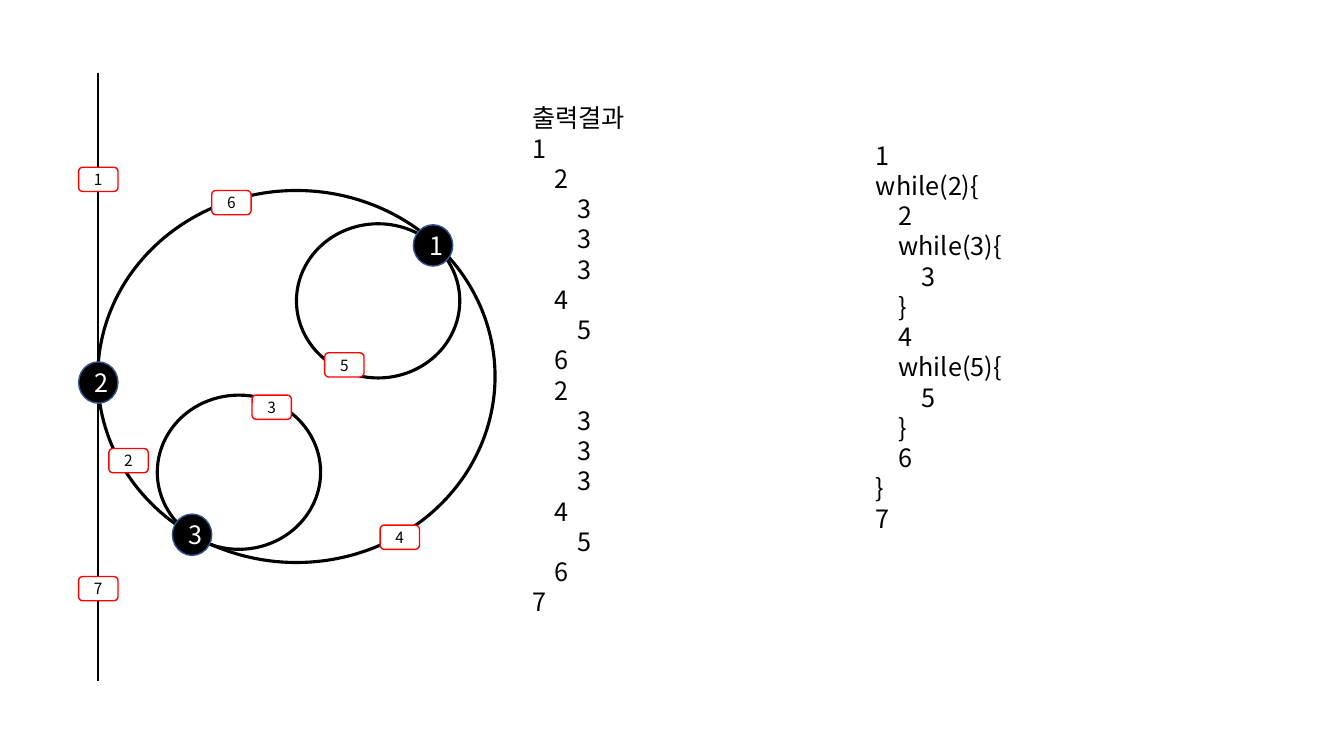
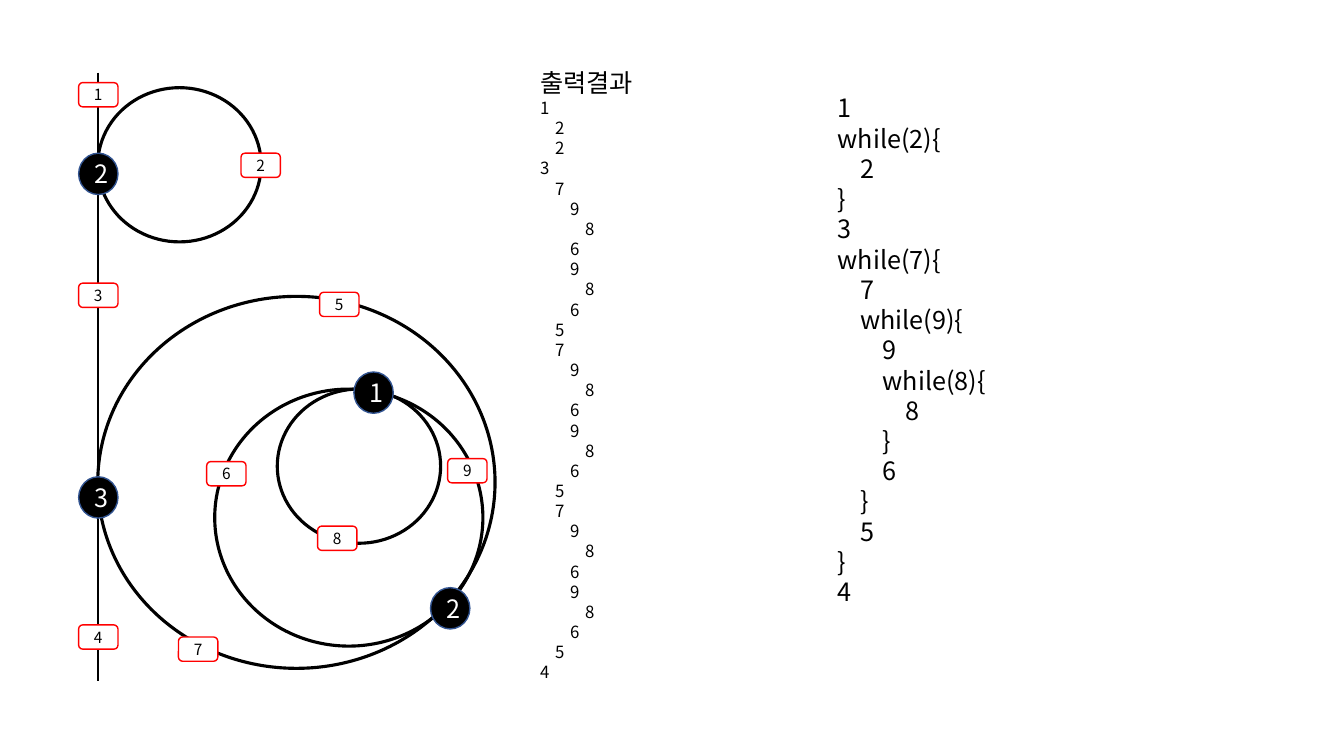
from lxml import etree
from pptx import Presentation
from pptx.dml.color import RGBColor
from pptx.enum import shapes, text
from pptx.oxml import ns
from pptx.util import Inches, Pt

BLACK = RGBColor(0x00, 0x00, 0x00)
WHITE = RGBColor(0xFF, 0xFF, 0xFF)
RED = RGBColor(0xFF, 0x00, 0x00)
NAVY = RGBColor(0x32, 0x54, 0x91)
FONT = "Noto Sans CJK KR"
HEADING = "출력결과"
HEADING_SIZE = CODE_SIZE = BADGE_SIZE = 18
TAG_SIZE = 11

# Shared geometry, in inches
TRUNK_X, TRUNK_TOP, TRUNK_BOTTOM = 0.97, 0.72, 6.76
BIG, MEDIUM, SMALL = (3.94, 3.69), (2.66, 2.55), (1.62, 1.53)
TAG, BADGE = (0.39, 0.24), (0.39, 0.41)
INDENT_PER_POINT = 0.0124
LINE_PITCH = 1.2

# Content: rings are (left, top, size); tags and badges are (label, left, top)
DIAGRAMS = [
    {
        "code": "1 while(2){ 2 while(3){ 3 } 4 while(5){ 5 } 6 } 7",
        "code_box": (8.59, 1.34, 2.53, 4.34),
        "output": "1 2 3 3 3 4 5 6 2 3 3 3 4 5 6 7",
        "output_box": (5.18, 0.97, 1.63, 5.55),
        "output_size": 18,
        "rings": [(0.97, 1.89, BIG), (1.56, 3.92, SMALL), (2.94, 2.22, SMALL)],
        "tags": [("1", 0.78, 1.66), ("2", 1.08, 4.45), ("3", 2.5, 3.92),
                 ("4", 3.77, 5.21), ("7", 0.78, 5.72), ("6", 2.1, 1.89),
                 ("5", 3.22, 3.5)],
        "badges": [("2", 0.78, 3.59), ("3", 1.71, 5.1), ("1", 4.1, 2.23)],
    },
    {
        "code": "1 while(2){ 2 } 3 while(7){ 7 while(9){ 9 while(8){ 8 } 6 } 5 } 4",
        "code_box": (8.21, 0.87, 2.58, 5.25),
        "output": "1 2 2 3 " + "7 9 8 6 9 8 6 5 " * 3 + "4",
        "output_box": (5.26, 0.62, 1.63, 6.26),
        "output_size": 12,
        "rings": [(0.97, 2.94, BIG), (2.13, 3.86, MEDIUM),
                  (0.97, 0.87, SMALL), (2.75, 3.86, SMALL)],
        "tags": [("1", 0.78, 0.82), ("2", 2.39, 1.52), ("4", 0.78, 6.2),
                 ("3", 0.78, 2.81), ("5", 3.17, 2.9), ("7", 1.77, 6.32),
                 ("6", 2.05, 4.58), ("8", 3.15, 5.22), ("9", 4.44, 4.55)],
        "badges": [("2", 0.78, 1.52), ("3", 0.78, 4.73),
                   ("2", 4.27, 5.83), ("1", 3.51, 3.69)],
    },
]


def nest(code):
    """Pair each code line with its depth, counted from the braces."""
    depth, lines = 0, []
    for line in code.split():
        depth -= line == "}"
        lines.append((line, depth))
        depth += line.endswith("{")
    return lines


def format_runs(paragraph, size, color):
    for run in paragraph.runs:
        run.font.name = FONT
        run.font.size = Pt(size)
        run.font.color.rgb = color
        east_asian = etree.SubElement(run.font._element, ns.qn("a:ea"))
        east_asian.set("typeface", FONT)


def add_listing(slide, box, lines):
    """Write (text, depth, size) lines into one text box."""
    frame = slide.shapes.add_textbox(*map(Inches, box)).text_frame
    frame.word_wrap = True
    frame.auto_size = text.MSO_AUTO_SIZE.SHAPE_TO_FIT_TEXT
    frame.text = "\n".join(line for line, _, _ in lines)
    for paragraph, (_, depth, size) in zip(frame.paragraphs, lines):
        format_runs(paragraph, size, BLACK)
        paragraph.line_spacing = Pt(size * LINE_PITCH)
        properties = paragraph._p.get_or_add_pPr()
        properties.set("marL", str(Inches(depth * size * INDENT_PER_POINT)))


def add_outline(slide, kind, left, top, size, color, width, fill=None):
    shape = slide.shapes.add_shape(kind, *map(Inches, (left, top, *size)))
    shape.shadow.inherit = False
    shape.line.color.rgb = color
    shape.line.width = Pt(width)
    if fill is None:
        shape.fill.background()
    else:
        shape.fill.solid()
        shape.fill.fore_color.rgb = fill
    return shape


def add_label(shape, label, size, color):
    frame = shape.text_frame
    frame.text = label
    frame.vertical_anchor = text.MSO_ANCHOR.MIDDLE
    frame.paragraphs[0].alignment = text.PP_ALIGN.CENTER
    format_runs(frame.paragraphs[0], size, color)


def add_trunk(slide):
    trunk = slide.shapes.add_connector(
        shapes.MSO_CONNECTOR.STRAIGHT,
        *map(Inches, (TRUNK_X, TRUNK_TOP, TRUNK_X, TRUNK_BOTTOM)))
    trunk.line.color.rgb = BLACK
    trunk.line.width = Pt(1.5)
    etree.SubElement(trunk._element.spPr, ns.qn("a:effectLst"))


def build(slide, diagram):
    code = nest(diagram["code"])
    depths = dict(code)
    size = diagram["output_size"]

    # Printed result, indented like the code that prints it
    output = [(step, depths[step], size) for step in diagram["output"].split()]
    add_listing(slide, diagram["output_box"], [(HEADING, 0, HEADING_SIZE)] + output)

    # Flow: trunk and loops
    add_trunk(slide)
    oval = shapes.MSO_SHAPE.OVAL
    for left, top, ring in diagram["rings"]:
        add_outline(slide, oval, left, top, ring, BLACK, 2.25)

    # Code
    add_listing(slide, diagram["code_box"],
                [(line, depth, CODE_SIZE) for line, depth in code])

    # Step tags and loop counts
    for label, left, top in diagram["tags"]:
        tag = add_outline(slide, shapes.MSO_SHAPE.ROUNDED_RECTANGLE,
                          left, top, TAG, RED, 1, WHITE)
        add_label(tag, label, TAG_SIZE, BLACK)
    for label, left, top in diagram["badges"]:
        badge = add_outline(slide, oval, left, top, BADGE, NAVY, 1, BLACK)
        add_label(badge, label, BADGE_SIZE, WHITE)


presentation = Presentation()
presentation.slide_width = Inches(13.33)
presentation.slide_height = Inches(7.5)
for diagram in DIAGRAMS:
    build(presentation.slides.add_slide(presentation.slide_layouts[6]), diagram)
presentation.save("out.pptx")
